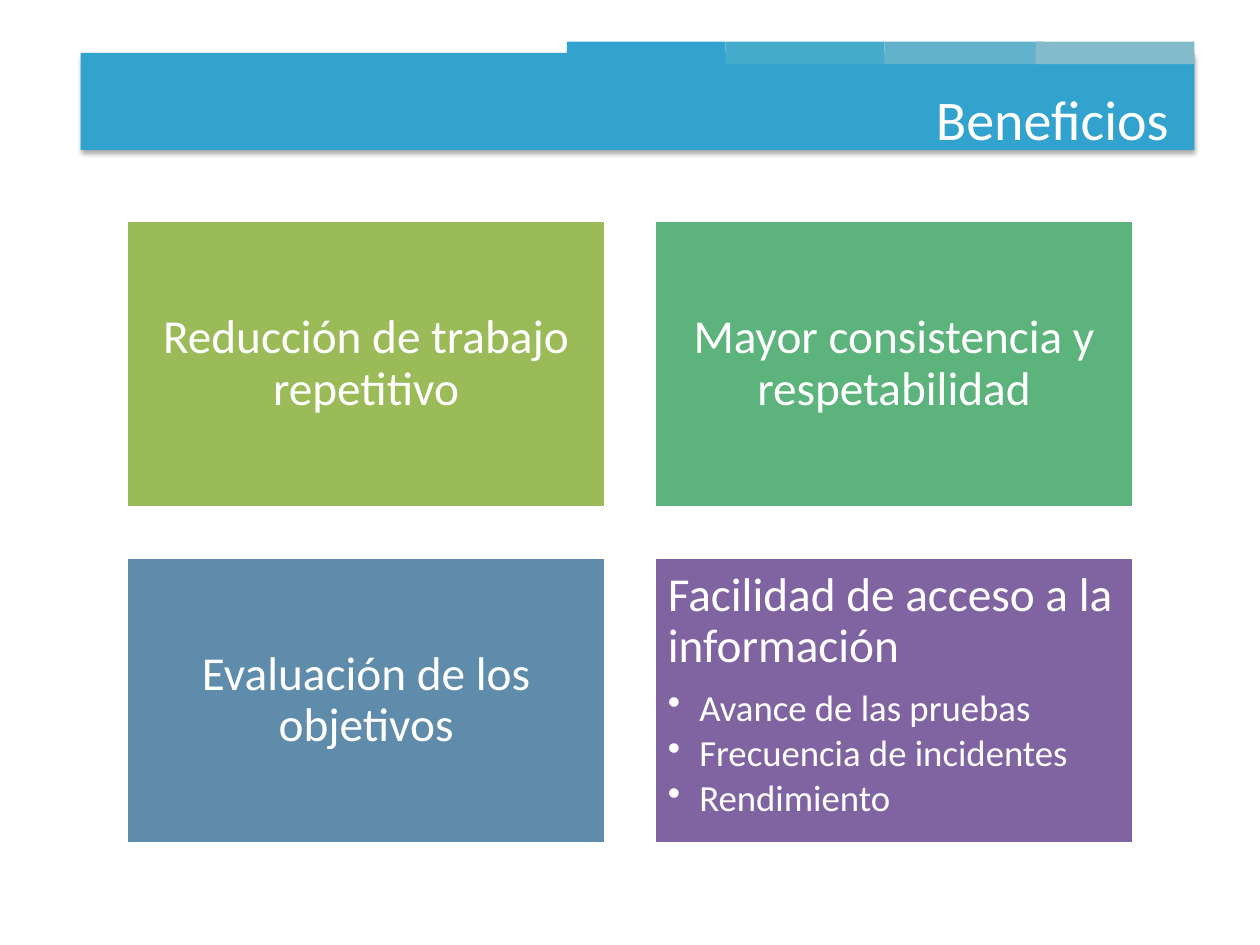
from lxml import etree
from pptx import Presentation
from pptx import util as u
from pptx.dml.color import RGBColor
from pptx.enum import shapes, text
from pptx.oxml.ns import qn

# Content: one entry per card, row by row
TITLE = "Beneficios"
CARDS = [
    ("Reducción de trabajo repetitivo", []),
    ("Mayor consistencia y respetabilidad", []),
    ("Evaluación de los objetivos", []),
    ("Facilidad de acceso a la información",
     ["Avance de las pruebas", "Frecuencia de incidentes", "Rendimiento"]),
]

THEME = {
    "font": "Calibri", "text": "FFFFFF", "border": "FFFFFF",
    "band": "32A3CE", "tabs": ["32A3CE", "45ACCD", "62B2CB", "83BBCA"],
    "cards": ["9BBB59", "5CB37C", "608CAB", "8064A2"],
    "title_size": 32, "card_size": 27, "bullet_size": 21,
}

# Layout in inches
SLIDE = (10, 7.5)
BAND = (0.64, 0.42, 8.84, 0.77)
TAB = {"left": 4.5, "top": 0.33, "width": 1.26, "height": 0.18}
GRID = {"left": 1, "top": 1.75, "width": 3.81, "height": 2.28,
        "gap_x": 0.38, "gap_y": 0.39, "columns": 2}
INSET = 0.11
BULLET_INDENT = 0.25


def apply(target, values):
    for name, value in values.items():
        setattr(target, name, value)


def add_box(slide, box, fill, border=None):
    shape = slide.shapes.add_shape(
        shapes.MSO_SHAPE.RECTANGLE, *(u.Inches(length) for length in box))
    shape.shadow.inherit = False
    shape.fill.solid()
    shape.fill.fore_color.rgb = RGBColor.from_string(fill)
    if border:
        shape.line.color.rgb = RGBColor.from_string(border)
        shape.line.width = u.Pt(2)
    else:
        shape.line.fill.background()
    return shape


def add_drop_shadow(shape):
    effects = shape._element.spPr.find(qn("a:effectLst"))
    shadow = etree.SubElement(
        effects, qn("a:outerShdw"), blurRad=str(u.Pt(3.1)),
        dist=str(u.Pt(1.8)), dir="5400000", rotWithShape="0")
    color = etree.SubElement(shadow, qn("a:srgbClr"), val="000000")
    etree.SubElement(color, qn("a:alpha"), val="35000")


def write(paragraph, words, size, **layout):
    paragraph.text = words
    apply(paragraph, layout)
    apply(paragraph.font, {"name": THEME["font"], "size": u.Pt(size)})
    paragraph.font.color.rgb = RGBColor.from_string(THEME["text"])


def add_bullet(paragraph):
    properties = paragraph._p.get_or_add_pPr()
    indent = u.Inches(BULLET_INDENT)
    properties.set("marL", str(indent))
    properties.set("indent", str(-indent))
    etree.SubElement(properties, qn("a:buChar"), char="•")


def add_header(slide):
    # Band with a row of tabs; the last tab ends flush with the band
    add_drop_shadow(add_box(slide, BAND, THEME["band"]))
    last_left = BAND[0] + BAND[2] - TAB["width"]
    for index, color in enumerate(THEME["tabs"]):
        left = min(TAB["left"] + index * TAB["width"], last_left)
        add_box(slide, (left, TAB["top"], TAB["width"], TAB["height"]), color)


def add_card(slide, index, heading, bullets):
    row, column = divmod(index, GRID["columns"])
    box = (GRID["left"] + column * (GRID["width"] + GRID["gap_x"]),
           GRID["top"] + row * (GRID["height"] + GRID["gap_y"]),
           GRID["width"], GRID["height"])
    frame = add_box(slide, box, THEME["cards"][index], THEME["border"]).text_frame
    inset = u.Inches(INSET)
    apply(frame, {
        "word_wrap": True, "margin_left": inset, "margin_right": inset,
        "margin_top": inset, "margin_bottom": inset,
        "vertical_anchor": text.MSO_ANCHOR.TOP if bullets else text.MSO_ANCHOR.MIDDLE})
    write(frame.paragraphs[0], heading, THEME["card_size"], line_spacing=0.9,
          space_after=u.Pt(0.35 * THEME["card_size"]),
          alignment=text.PP_ALIGN.LEFT if bullets else text.PP_ALIGN.CENTER)
    for words in bullets:
        paragraph = frame.add_paragraph()
        add_bullet(paragraph)
        write(paragraph, words, THEME["bullet_size"], level=1, line_spacing=0.9,
              space_after=u.Pt(0.15 * THEME["bullet_size"]),
              alignment=text.PP_ALIGN.LEFT)


def add_title(slide):
    box = slide.shapes.add_textbox(
        u.Inches(7.33), u.Inches(0.62), u.Inches(2.17), u.Inches(0.64))
    apply(box.text_frame, {"word_wrap": False,
                           "auto_size": text.MSO_AUTO_SIZE.SHAPE_TO_FIT_TEXT})
    write(box.text_frame.paragraphs[0], TITLE, THEME["title_size"])


def main():
    presentation = Presentation()
    presentation.slide_width, presentation.slide_height = map(u.Inches, SLIDE)
    slide = presentation.slides.add_slide(presentation.slide_layouts[6])
    add_header(slide)
    for index, (heading, bullets) in enumerate(CARDS):
        add_card(slide, index, heading, bullets)
    add_title(slide)
    presentation.save("out.pptx")


if __name__ == "__main__":
    main()
